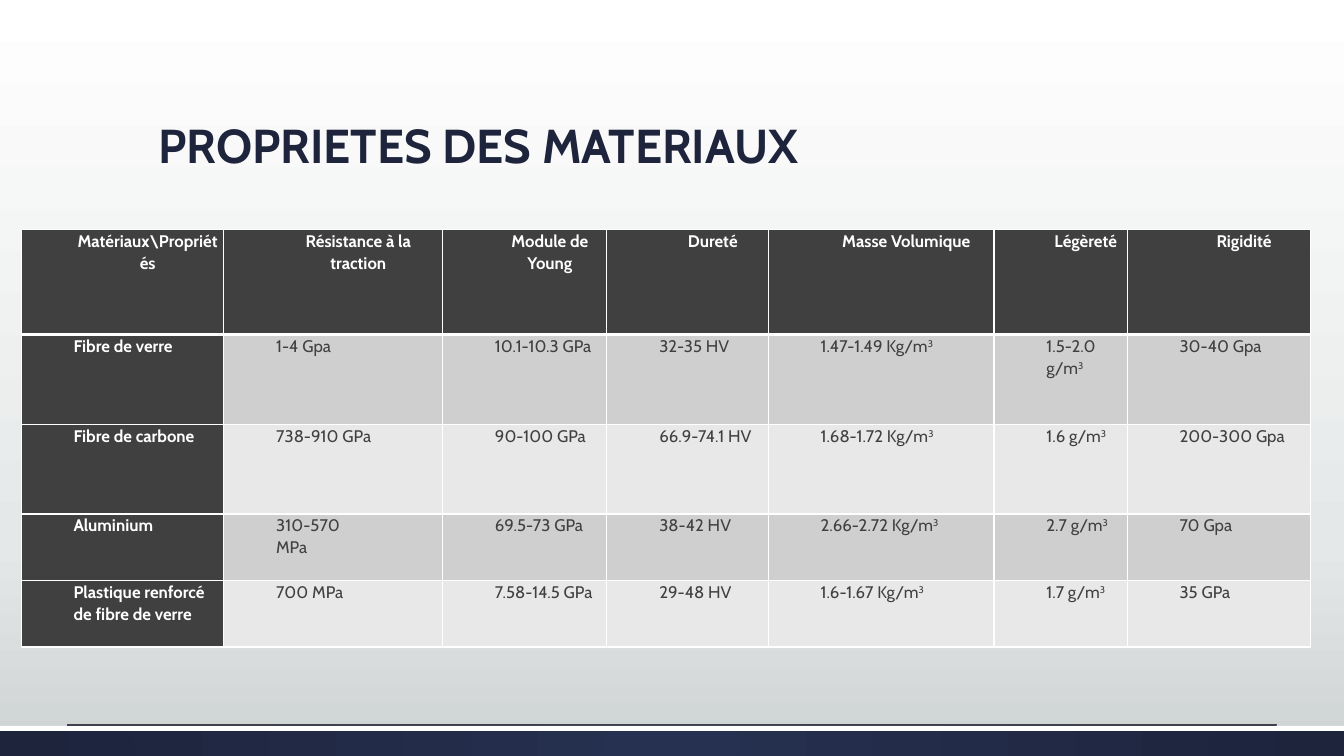
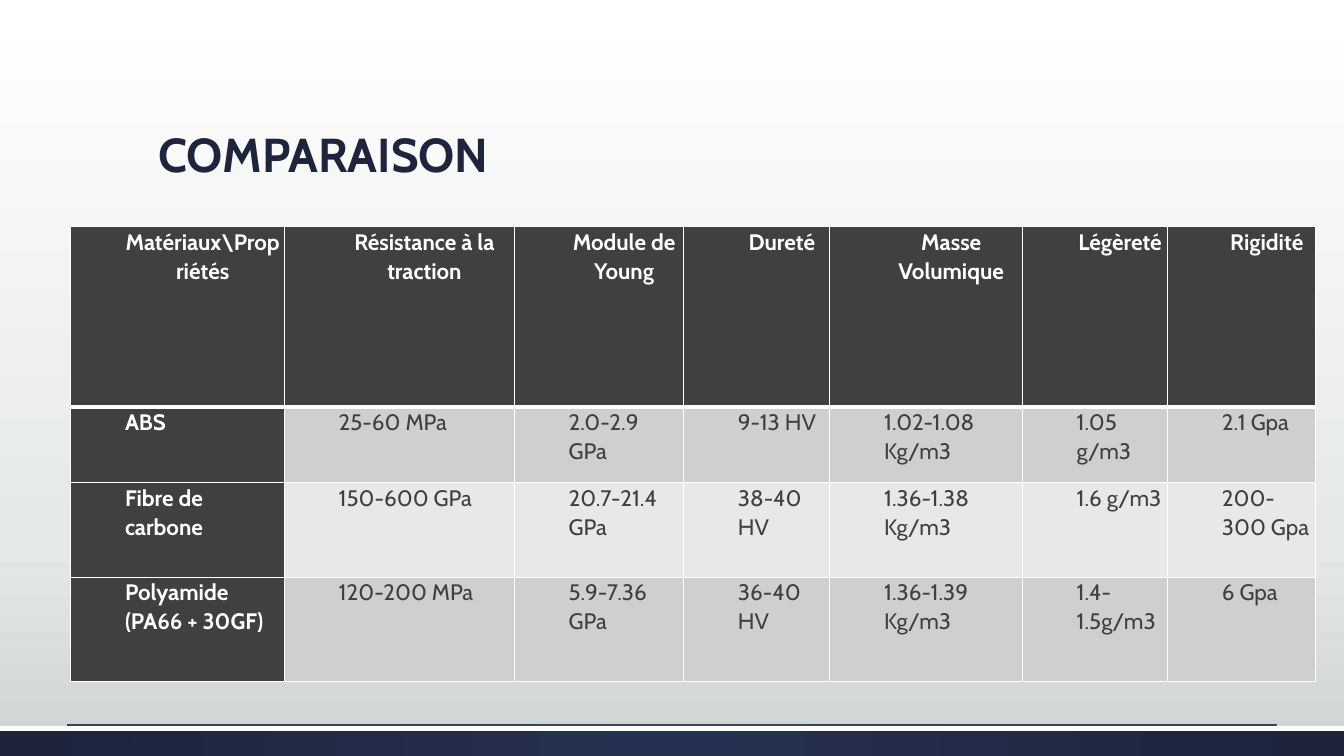
from dataclasses import dataclass

from lxml import etree
from pptx import Presentation
from pptx.dml.color import RGBColor
from pptx.enum.shapes import MSO_CONNECTOR as Connector, MSO_SHAPE as Preset
from pptx.enum.text import MSO_ANCHOR as Anchor, PP_ALIGN as Align
from pptx.oxml import parse_xml
from pptx.oxml.ns import nsdecls, qn
from pptx.util import Inches, Pt


@dataclass(frozen=True)
class Theme:
    font: str = "Cabin"
    navy: str = "1D243C"
    navy_light: str = "263050"
    white: str = "FFFFFF"
    dark: str = "404040"
    bands: tuple = ("CFCFCF", "E8E8E8")
    background: tuple = ((0, "FFFFFF"), (72, "E5E8E8"), (100, "CDD2D2"))
    title_size: int = 34
    thin: int = 1
    thick: int = 3


THEME = Theme()
WIDTH, HEIGHT = 13.33, 7.5
BAND_HEIGHT = 0.04 * HEIGHT
STRIPE_HEIGHT = 0.05
RULE_MARGIN = 0.05 * WIDTH
TITLE_LEFT, TITLE_WIDTH, TITLE_HEIGHT = 1.47, 10.4, 1.35
CELL_INDENT = 0.5

HEADERS = (
    "Matériaux\\Propriétés", "Résistance à la traction", "Module de Young",
    "Dureté", "Masse Volumique", "Légèreté", "Rigidité",
)
# "^" raises the text that follows it.
SLIDES = [
    {
        "title": "PROPRIETES DES MATERIAUX",
        "title_top": 0.42,
        "corner": (0.21, 2.28),
        "columns": (2.01, 2.17, 1.63, 1.6, 2.24, 1.32, 1.82),
        "rows": (1.04, 0.89, 0.89, 0.66, 0.66),
        "size": 12,
        "inset": 0.02,
        "materials": [
            ("Fibre de verre", "1-4 Gpa", "10.1-10.3 GPa", "32-35 HV",
             "1.47-1.49 Kg/m^3", "1.5-2.0 g/m^3", "30-40 Gpa"),
            ("Fibre de carbone", "738-910 GPa", "90-100 GPa", "66.9-74.1 HV",
             "1.68-1.72 Kg/m^3", "1.6 g/m^3", "200-300 Gpa"),
            ("Aluminium", "310-570\nMPa", "69.5-73 GPa", "38-42 HV",
             "2.66-2.72 Kg/m^3", "2.7 g/m^3", "70 Gpa"),
            ("Plastique renforcé de fibre de verre", "700 MPa", "7.58-14.5 GPa",
             "29-48 HV", "1.6-1.67 Kg/m^3", "1.7 g/m^3", "35 GPa"),
        ],
    },
    {
        "title": "COMPARAISON",
        "title_top": 0.51,
        "corner": (0.7, 2.25),
        "columns": (2.12, 2.28, 1.68, 1.45, 1.91, 1.44, 1.47),
        "rows": (1.79, 0.75, 0.94, 1.03),
        "size": 16,
        "inset": 0.04,
        "materials": [
            ("ABS", "25-60 MPa", "2.0-2.9 GPa", "9-13 HV",
             "1.02-1.08 Kg/m3", "1.05 g/m3", "2.1 Gpa"),
            ("Fibre de carbone", "150-600 GPa", "20.7-21.4 GPa", "38-40 HV",
             "1.36-1.38 Kg/m3", "1.6 g/m3", "200-300 Gpa"),
            ("Polyamide (PA66 + 30GF)", "120-200 MPa", "5.9-7.36 GPa", "36-40 HV",
             "1.36-1.39 Kg/m3", "1.4-1.5g/m3", "6 Gpa"),
        ],
    },
]


def rgb(color):
    return RGBColor.from_string(color)


def write(frame, text, *, size, color, bold=False, align=Align.LEFT,
          spacing=1.0, indent=0):
    frame.word_wrap = True
    for number, line in enumerate(text.split("\n")):
        paragraph = frame.add_paragraph() if number else frame.paragraphs[0]
        properties = paragraph._p.get_or_add_pPr()
        properties.set("marL", str(Inches(indent)))
        properties.set("indent", "0")
        paragraph.alignment = align
        paragraph.line_spacing = spacing
        for raised, part in enumerate(line.split("^")):
            run = paragraph.add_run()
            run.text = part
            run.font.name = THEME.font
            run.font.size = Pt(size)
            run.font.bold = bold
            run.font.color.rgb = rgb(color)
            if raised:
                run._r.get_or_add_rPr().set("baseline", "30000")


def set_gradient(parent, stops, direction):
    stop_list = "".join(
        f'<a:gs pos="{share * 1000}"><a:srgbClr val="{color}"/></a:gs>'
        for share, color in stops)
    gradient = parse_xml(
        f'<a:gradFill {nsdecls("a")} rotWithShape="1">'
        f'<a:gsLst>{stop_list}</a:gsLst>{direction}</a:gradFill>')
    parent.replace(parent.find(qn("a:solidFill")), gradient)


def add_bar(slide, top, height, color):
    bar = slide.shapes.add_shape(
        Preset.RECTANGLE, 0, Inches(top), Inches(WIDTH), Inches(height))
    bar.shadow.inherit = False
    bar.fill.solid()
    bar.fill.fore_color.rgb = rgb(color)
    bar.line.fill.background()
    return bar


def decorate_master(master, slide):
    master.background.fill.solid()
    set_gradient(master.element.find(".//" + qn("p:bgPr")), THEME.background,
                 '<a:lin ang="5400000" scaled="0"/>')
    top = HEIGHT - BAND_HEIGHT
    band = add_bar(slide, top, BAND_HEIGHT, THEME.navy)
    set_gradient(
        band.element.spPr, ((0, THEME.navy_light), (100, THEME.navy)),
        '<a:path path="circle">'
        '<a:fillToRect l="50000" t="50000" r="50000" b="50000"/></a:path>')
    stripe = add_bar(slide, top, STRIPE_HEIGHT, THEME.white)
    rule = slide.shapes.add_connector(
        Connector.STRAIGHT, Inches(RULE_MARGIN), Inches(top - 0.01),
        Inches(WIDTH - RULE_MARGIN), Inches(top - 0.01))
    rule.line.color.rgb = rgb(THEME.dark)
    rule.line.width = Pt(THEME.thin)
    etree.SubElement(rule.element.spPr, qn("a:effectLst"))
    for shape in (band, stripe, rule):
        master.shapes.element.append(shape.element)


def set_borders(cell, **widths):
    properties = cell._tc.get_or_add_tcPr()
    for position, side in enumerate("LRTB"):
        width = Pt(widths.get(side, THEME.thin))
        properties.insert(position, parse_xml(
            f'<a:ln{side} {nsdecls("a")} w="{width}"><a:solidFill>'
            f'<a:srgbClr val="{THEME.white}"/></a:solidFill></a:ln{side}>'))


def fill_cell(cell, text, row, column, size, inset):
    header = row == 0
    label = header or column == 0
    cell.margin_left = cell.margin_right = Inches(inset)
    cell.margin_top = cell.margin_bottom = 0
    cell.fill.solid()
    cell.fill.fore_color.rgb = rgb(
        THEME.dark if label else THEME.bands[(row - 1) % 2])
    heavy_side = {0: "B", 1: "T"}.get(row)
    set_borders(cell, **({heavy_side: THEME.thick} if heavy_side else {}))
    write(cell.text_frame, text, size=size, bold=label, spacing=1.07,
          color=THEME.white if label else THEME.dark, indent=CELL_INDENT,
          align=Align.CENTER if header else Align.LEFT)


def add_material_table(slide, content):
    columns, rows = content["columns"], content["rows"]
    left, top = content["corner"]
    table = slide.shapes.add_table(
        len(rows), len(columns), Inches(left), Inches(top),
        Inches(sum(columns)), Inches(sum(rows))).table
    for column, width in zip(table.columns, columns):
        column.width = Inches(width)
    for row, height in zip(table.rows, rows):
        row.height = Inches(height)
    for row, texts in enumerate([HEADERS, *content["materials"]]):
        for column, text in enumerate(texts):
            fill_cell(table.cell(row, column), text, row, column,
                      content["size"], content["inset"])


def add_title(slide, content):
    title = slide.shapes.title
    title.left, title.top = Inches(TITLE_LEFT), Inches(content["title_top"])
    title.width, title.height = Inches(TITLE_WIDTH), Inches(TITLE_HEIGHT)
    title.text_frame.vertical_anchor = Anchor.BOTTOM
    write(title.text_frame, content["title"], size=THEME.title_size,
          color=THEME.navy, bold=True, spacing=0.9)


def main():
    presentation = Presentation()
    presentation.slide_width = Inches(WIDTH)
    presentation.slide_height = Inches(HEIGHT)
    title_only = presentation.slide_layouts[5]
    for number, content in enumerate(SLIDES):
        slide = presentation.slides.add_slide(title_only)
        if number == 0:
            decorate_master(presentation.slide_master, slide)
        add_title(slide, content)
        add_material_table(slide, content)
    presentation.save("out.pptx")


if __name__ == "__main__":
    main()
